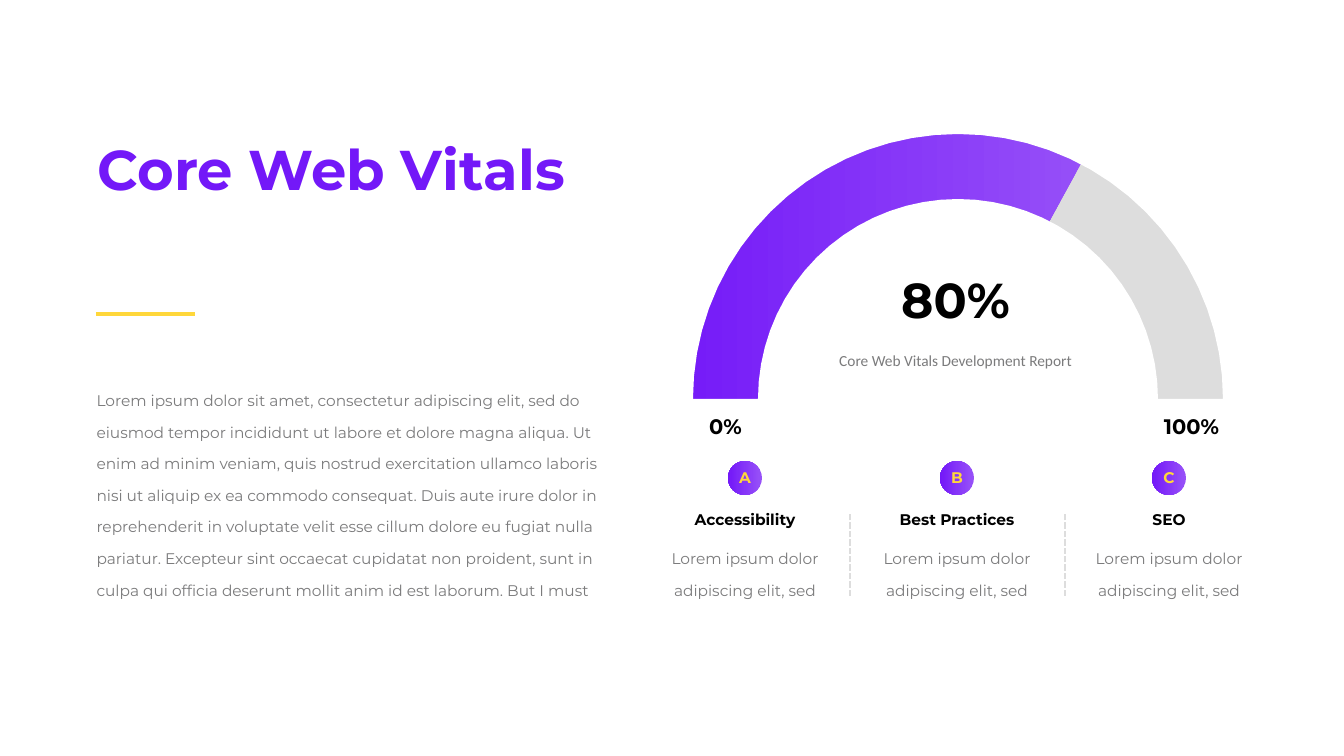
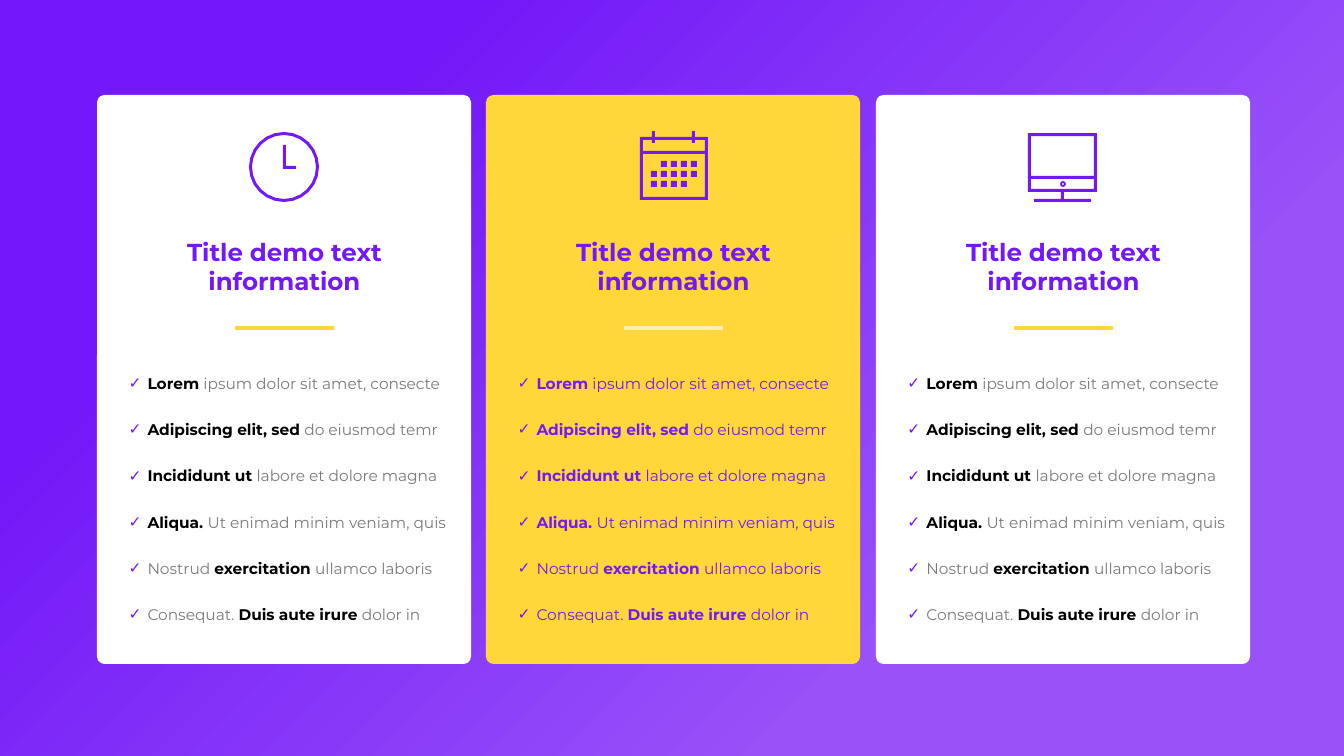
"""Build a web vitals gauge slide and a slide of three feature cards."""
import math
from lxml import etree
from pptx import Presentation
from pptx import util as u
from pptx.dml.color import RGBColor
from pptx.enum import dml, shapes, text
from pptx.oxml.ns import qn

PX = 18143
PURPLE = RGBColor(0x73, 0x18, 0xF8)
VIOLET = RGBColor(0x98, 0x52, 0xF8)
YELLOW = RGBColor(0xFF, 0xD7, 0x3A)
WHITE = RGBColor(0xFF, 0xFF, 0xFF)
BLACK = RGBColor(0, 0, 0)
GREY = RGBColor(0x7B, 0x7B, 0x7C)
SILVER = RGBColor(0xDD, 0xDD, 0xDD)
FONT = "Montserrat"
LEFT, CENTER = text.PP_ALIGN.LEFT, text.PP_ALIGN.CENTER
KIND = shapes.MSO_SHAPE
LOOSE = u.Pt(45)


def add_shape(slide, kind, box, color=None, contours=()):
    if contours:
        left, top = box
        outlines = [[((left + x) * PX, (top + y) * PX) for x, y in contour] for contour in contours]
        builder = slide.shapes.build_freeform(*outlines[0][0], scale=1.0)
        for outline in outlines:
            if outline is not outlines[0]:
                builder.move_to(*outline[0])
            builder.add_line_segments(outline[1:], close=True)
        shape = builder.convert_to_shape()
    else:
        shape = slide.shapes.add_shape(kind, *[value * PX for value in box])
    shape.shadow.inherit = False
    shape.line.fill.background()
    if color is not None:
        shape.fill.solid()
        shape.fill.fore_color.rgb = color
        return shape
    shape.fill.gradient()
    shape.fill.gradient_angle = 180
    for stop, stop_color in zip(shape.fill.gradient_stops, (VIOLET, PURPLE)):
        stop.color.rgb = stop_color
    return shape


def write_text(shape, box, paragraphs, size, align=CENTER, spacing=1.0, bullet=False, font=FONT):
    shape.left, shape.top, shape.width, shape.height = [value * PX for value in box]
    frame = shape.text_frame
    frame.word_wrap = True
    frame.auto_size = text.MSO_AUTO_SIZE.NONE
    frame.vertical_anchor = text.MSO_ANCHOR.TOP
    frame.margin_left = frame.margin_right = frame.margin_top = frame.margin_bottom = u.Inches(0.05)
    for index, runs in enumerate(paragraphs):
        paragraph = frame.add_paragraph() if index else frame.paragraphs[0]
        paragraph.alignment = align
        paragraph.line_spacing = spacing
        paragraph.space_before = paragraph.space_after = u.Pt(0)
        properties = paragraph._p.get_or_add_pPr()
        properties.set("marL", str(19 * PX if bullet else 0))
        properties.set("indent", str(-19 * PX if bullet else 0))
        if bullet:
            bullet_color = etree.SubElement(properties, qn("a:buClr"))
            etree.SubElement(bullet_color, qn("a:srgbClr")).set("val", str(PURPLE))
            etree.SubElement(properties, qn("a:buFont")).set("typeface", "Arial")
            etree.SubElement(properties, qn("a:buChar")).set("char", "✓")
        else:
            etree.SubElement(properties, qn("a:buNone"))
        for words, bold, color in runs:
            run = paragraph.add_run()
            run.text = words
            run.font.name = font
            run.font.size = u.Pt(size)
            run.font.bold = bold
            run.font.color.rgb = color


presentation = Presentation()
presentation.slide_width = 1344 * PX
presentation.slide_height = 756 * PX
vitals = presentation.slides.add_slide(presentation.slide_layouts[1])
cards = presentation.slides.add_slide(presentation.slide_layouts[4])

write_text(vitals.shapes.title, (95, 132, 495, 73), [[("Core Web Vitals", True, PURPLE)]], 80, LEFT)
write_text(
    vitals.placeholders[1], (94, 376, 518, 224),
    [[("Lorem ipsum dolor sit amet, consectetur adipiscing elit, sed do eiusmod tempor "
       "incididunt ut labore et dolore magna aliqua. Ut enim ad minim veniam, quis nostrud "
       "exercitation ullamco laboris nisi ut aliquip ex ea commodo consequat. Duis aute irure "
       "dolor in reprehenderit in voluptate velit esse cillum dolore eu fugiat nulla pariatur. "
       "Excepteur sint occaecat cupidatat non proident, sunt in culpa qui officia deserunt "
       "mollit anim id est laborum. But I must", False, GREY)]],
    22, LEFT, LOOSE)

add_shape(vitals, KIND.RECTANGLE, (674, 116, 586, 331), SILVER)
add_shape(vitals, None, (660, 116), None, [[(0, 0), (447, 0), (287, 292), (0, 292)]])
half_turn = [(math.cos(math.pi * step / 36), math.sin(math.pi * step / 36)) for step in range(37)]
arch = [(326 - 265 * x, 301 - 265 * y) for x, y in half_turn]
arch += [(326 + 200 * x, 301 - 200 * y) for x, y in half_turn]
add_shape(vitals, None, (632, 98), WHITE, [[(0, 0), (669, 0), (669, 394), (0, 394)], arch])

for words, box, size in (
    ("0%", (692, 411, 67, 31), 30),
    ("100%", (1158, 411, 67, 31), 30),
    ("80%", (793, 267, 325, 65), 70),
):
    write_text(vitals.shapes.add_textbox(0, 0, 0, 0), box, [[(words, True, BLACK)]], size)
write_text(vitals.shapes.add_textbox(0, 0, 0, 0), (802, 336, 307, 33),
           [[("Core Web Vitals Development Report", False, GREY)]], 22, spacing=LOOSE, font="Calibri")

for column, (letter, heading) in enumerate(
    (("A", "Accessibility"), ("B", "Best Practices"), ("C", "SEO"))
):
    left = 662 + column * 212
    add_shape(vitals, KIND.OVAL, (left + 66, 461, 34, 34))
    for words, bold, color, box, spacing in (
        (letter, True, YELLOW, (left + 73, 466, 20, 24), 1.0),
        (heading, True, BLACK, (left + 1, 508, 164, 24), 1.0),
        ("Lorem ipsum dolor adipiscing elit, sed", False, GREY, (left, 534, 166, 65), LOOSE),
    ):
        write_text(vitals.shapes.add_textbox(0, 0, 0, 0), box, [[(words, bold, color)]], 22, spacing=spacing)

lines = [(vitals, (96, 314, 195, 314), YELLOW, 6)]
lines += [(vitals, (x, 596, x, 513), SILVER, 3) for x in (850, 1065)]

backdrop = add_shape(cards, KIND.RECTANGLE, (0, 0, 1344, 756))
for stop, position in zip(backdrop.fill.gradient_stops, (0.27, 0.78)):
    stop.position = position
gradient = backdrop._element.spPr.find(qn("a:gradFill"))
gradient.remove(gradient.find(qn("a:lin")))
circle = etree.SubElement(gradient, qn("a:path"))
circle.set("path", "circle")
focus = etree.SubElement(circle, qn("a:fillToRect"))
focus.set("l", "100000")
focus.set("t", "100000")

ITEMS = (
    (("Lorem ", True), ("ipsum dolor sit amet, consecte", False)),
    (("Adipiscing elit, sed ", True), ("do eiusmod temr", False)),
    (("Incididunt ut ", True), ("labore et dolore magna", False)),
    (("Aliqua. ", True), ("Ut enimad minim veniam, quis", False)),
    (("Nostrud ", False), ("exercitation ", True), ("ullamco laboris", False)),
    (("Consequat. ", False), ("Duis aute irure ", True), ("dolor in", False)),
)
turn = [(math.cos(math.pi * step / 12), math.sin(math.pi * step / 12)) for step in range(24)]
clock = [[(187 + radius * x, 72 + radius * y) for x, y in turn] for radius in (35, 32)]
clock.append([(186, 50), (186, 74), (199, 74), (199, 71), (189, 71), (189, 50)])

calendar = [
    [(154, 42), (166, 42), (166, 36), (169, 36), (169, 42), (206, 42), (206, 36), (209, 36),
     (209, 42), (222, 42), (222, 105), (154, 105)],
    [(157, 45), (166, 45), (166, 48), (169, 48), (169, 45), (206, 45), (206, 48), (209, 48),
     (209, 45), (219, 45), (219, 56), (157, 56)],
    [(157, 59), (219, 59), (219, 102), (157, 102)],
]
for row, day_columns in enumerate((range(1, 5), range(5), range(4))):
    for day in day_columns:
        x, y = 165 + day * 10, 66 + row * 10
        calendar.append([(x, y), (x + 6, y), (x + 6, y + 6), (x, y + 6)])

monitor = [
    [(152, 38), (221, 38), (221, 97), (188, 97), (188, 104), (215, 104), (215, 107),
     (158, 107), (158, 104), (185, 104), (185, 97), (152, 97)],
    [(155, 41), (218, 41), (218, 81), (155, 81)],
    [(155, 84), (218, 84), (218, 94), (155, 94)],
]
monitor += [[(187 + radius * x, 89 + radius * y) for x, y in turn[::3]] for radius in (3, 1)]

holders = cards.placeholders
card_rows = (
    (WHITE, YELLOW, BLACK, GREY, clock, holders[0], holders[2]),
    (YELLOW, WHITE, PURPLE, PURPLE, calendar, holders[1], holders[4]),
    (WHITE, YELLOW, BLACK, GREY, monitor, holders[3], cards.shapes.add_textbox(0, 0, 0, 0)),
)
for column, (fill, rule, strong, plain, icon, heading, checklist) in enumerate(card_rows):
    left = round(97.3 + column * 389.2)
    card = add_shape(cards, KIND.ROUNDED_RECTANGLE, (left, 95, 374, 569), fill)
    card.adjustments[0] = 0.02
    for shape in (heading, checklist):
        cards.shapes._spTree.append(shape._element)
    write_text(heading, (left + 20, 234, 335, 65), [[("Title demo text information", True, PURPLE)]], 35)
    write_text(checklist, (left + 29, 344, 342, 277),
               [[(words, bold, strong if bold else plain) for words, bold in item] for item in ITEMS],
               22, LEFT, 2.5, True)
    add_shape(cards, None, (left, 95), PURPLE, icon)
    lines.append((cards, (left + 138, 328, left + 237, 328), rule, 6))

for slide, ends, color, width in lines:
    connector = slide.shapes.add_connector(
        shapes.MSO_CONNECTOR.STRAIGHT, *[value * PX for value in ends])
    connector.line.color.rgb = color
    connector.line.width = u.Pt(width)
    if color == SILVER:
        connector.line.dash_style = dml.MSO_LINE.SQUARE_DOT
    properties = connector._element.spPr
    if color == WHITE:
        solid = next(properties.iter(qn("a:srgbClr")))
        etree.SubElement(solid, qn("a:alpha")).set("val", "59000")
    etree.SubElement(properties, qn("a:effectLst"))

presentation.save("out.pptx")
